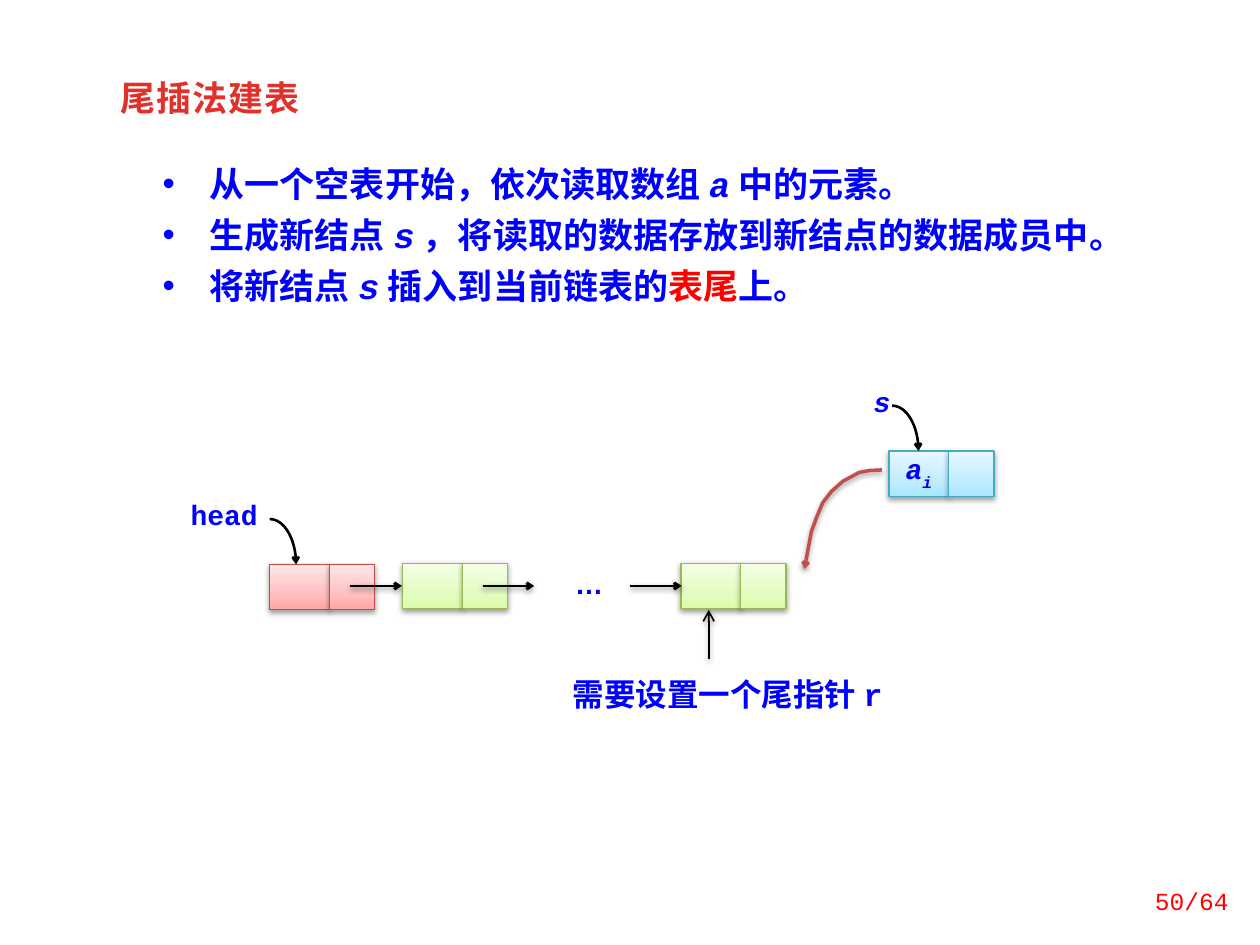
from dataclasses import dataclass, field
from typing import Any
import copy
import pptx
import pptx.util
import pptx.dml.color
import pptx.enum.shapes
import pptx.enum.text
import pptx.oxml
import pptx.oxml.ns

RGB = pptx.dml.color.RGBColor
WHITE = RGB(0xFF, 0xFF, 0xFF)
BLACK = RGB(0, 0, 0)
BLUE = RGB(0, 0, 0xFF)
RED = RGB(0xFF, 0, 0)
BRICK = RGB(0xE0, 0x32, 0x2D)
RUST = RGB(0xC0, 0x50, 0x4D)
PINK = (RGB(0xFF, 0xA6, 0xA5), RGB(0xFF, 0xC0, 0xBF), RGB(0xFF, 0xE7, 0xE7), RGB(0xBF, 0x4C, 0x48))
GREEN = (RGB(0xDA, 0xFD, 0xA7), RGB(0xE4, 0xFC, 0xC2), RGB(0xF5, 0xFF, 0xE7), RGB(0x98, 0xB9, 0x55))
SKY = (RGB(0xA7, 0xE6, 0xFF), RGB(0xC1, 0xED, 0xFF), RGB(0xE7, 0xF8, 0xFF), RGB(0x46, 0xAA, 0xC5))

COLS, ROWS = 100, 75
CELL = pptx.util.Inches(0.1)
HAN, MONO = "Noto Sans CJK SC", "Courier New"
ALIGN = pptx.enum.text.PP_ALIGN
SHAPE = pptx.enum.shapes.MSO_SHAPE
NS = 'xmlns:a="http://schemas.openxmlformats.org/drawingml/2006/main"'
SHADE = ('<a:outerShdw blurRad="40000" dist="20000" dir="5400000" rotWithShape="0">'
         '<a:srgbClr val="000000"><a:alpha val="38000"/></a:srgbClr></a:outerShdw>')


@dataclass
class Run:
    text: str
    tint: RGB = BLUE
    style: dict[str, Any] = field(default_factory=dict)
    extra: dict[str, str] = field(default_factory=dict)


@dataclass
class Label:
    area: tuple[float, float, float, float]
    lines: list[list[Run]]
    size: int = 16
    face: str = MONO
    bold: bool = True
    align: Any = ALIGN.CENTER
    inset: tuple[float, float, float, float] = (0, 0, 0, 0)
    fill: bool = True
    wrap: bool = True
    bullet: bool = False
    anchor: Any = pptx.enum.text.MSO_ANCHOR.TOP


@dataclass
class Node:
    left: float
    top: float
    tones: tuple[RGB, ...]
    runs: list[Run] = field(default_factory=list)


@dataclass
class Arrow:
    points: list[tuple[float, float]]
    tint: RGB = BLACK
    width: float = 1.5
    head: str = "sm"
    shade: bool = True


def cells(*nums: float) -> list[int]:
    return [round(num * CELL) for num in nums]


def apply(thing: Any, values: dict[str, Any]) -> None:
    for name, value in values.items():
        setattr(thing, name, value)


def xml(text: str) -> Any:
    return pptx.oxml.parse_xml(text)


def effect(shape: Any, shade: bool) -> None:
    props = shape._element.spPr
    for old in props.findall(pptx.oxml.ns.qn("a:effectLst")):
        props.remove(old)
    props.append(xml(f'<a:effectLst {NS}>{SHADE if shade else ""}</a:effectLst>'))


def write(para: Any, runs: list[Run], size: int, face: str, bold: bool) -> None:
    for item in runs:
        run = para.add_run()
        run.text = item.text
        apply(run.font, {"size": pptx.util.Pt(size), "name": face, "bold": bold, **item.style})
        run.font.color.rgb = item.tint
        props = run._r.get_or_add_rPr()
        props.append(xml(f'<a:ea {NS} typeface="{HAN}"/>'))
        for name, value in item.extra.items():
            props.set(name, value)


def draw_label(slide: Any, label: Label) -> None:
    box = slide.shapes.add_textbox(*cells(*label.area))
    if label.fill:
        box.fill.solid()
        box.fill.fore_color.rgb = WHITE
    frame = box.text_frame
    sides = ("margin_left", "margin_top", "margin_right", "margin_bottom")
    apply(frame, dict(zip(sides, cells(*label.inset))))
    apply(frame, {"word_wrap": label.wrap, "vertical_anchor": label.anchor})
    for i, runs in enumerate(label.lines):
        para = frame.add_paragraph() if i else frame.paragraphs[0]
        if label.bullet:
            props = para._p.get_or_add_pPr()
            dent = cells(3.75)[0]
            props.set("marL", str(dent))
            props.set("indent", str(-dent))
            props.append(xml(f'<a:buFont {NS} typeface="Arial"/>'))
            props.append(xml(f'<a:buChar {NS} char="•"/>'))
        para.alignment = label.align
        if i:
            para.space_before = pptx.util.Pt(5)
        write(para, runs, label.size, label.face, label.bold)


def draw_node(slide: Any, node: Node) -> None:
    parts = ((node.left, 4.75, node.runs), (node.left + 4.75, 3.6, []))
    for left, width, runs in parts:
        box = slide.shapes.add_shape(SHAPE.RECTANGLE, *cells(left, node.top, width, 3.6))
        fill = box.fill
        fill.gradient()
        fill.gradient_angle = 90
        first = box._element.spPr.xpath(".//a:gs")[0]
        first.addnext(copy.deepcopy(first))
        for stop, spot, tone in zip(fill.gradient_stops, (0, 0.35, 1), node.tones):
            stop.color.rgb = tone
            stop.position = spot
        box.line.color.rgb = node.tones[-1]
        box.line.width = pptx.util.Pt(0.75)
        effect(box, True)
        if runs:
            frame = box.text_frame
            apply(frame, {"margin_left": 0, "margin_top": 0, "margin_right": 0, "margin_bottom": 0,
                          "vertical_anchor": pptx.enum.text.MSO_ANCHOR.TOP})
            para = frame.paragraphs[0]
            apply(para, {"alignment": ALIGN.CENTER, "line_spacing": pptx.util.Pt(23)})
            write(para, runs, 16, MONO, True)


def draw_arrow(slide: Any, arrow: Arrow) -> None:
    spots = [tuple(cells(*point)) for point in arrow.points]
    if len(spots) == 2:
        kind = pptx.enum.shapes.MSO_CONNECTOR.STRAIGHT
        shape = slide.shapes.add_connector(kind, *spots[0], *spots[1])
    else:
        path = slide.shapes.build_freeform(*spots[0])
        path.add_line_segments(spots[1:], close=False)
        shape = path.convert_to_shape()
        shape.fill.background()
    shape.line.color.rgb = arrow.tint
    shape.line.width = pptx.util.Pt(arrow.width)
    line = shape.line._get_or_add_ln()
    line.append(xml(f'<a:tailEnd {NS} type="arrow" w="{arrow.head}" len="{arrow.head}"/>'))
    effect(shape, arrow.shade)


def bend(left: float, top: float) -> Arrow:
    wide, high, steps = 2.1, 3.6, 16
    points = []
    for i in range(steps + 1):
        t = i / steps
        u = 1 - t
        x = 3 * u * u * t * 0.56 + 3 * u * t * t + t ** 3
        y = 3 * u * t * t * 0.45 + t ** 3
        points.append((left + wide * x, top + high * y))
    return Arrow(points, shade=False)


def main() -> None:
    deck = pptx.Presentation()
    apply(deck, {"slide_width": COLS * CELL, "slide_height": ROWS * CELL})
    slide = deck.slides.add_slide(deck.slide_layouts[6])
    slant = {"italic": True}
    pad = (1, 0.5, 1, 0.5)
    steps = [
        [Run("从一个空表开始，依次读取数组"), Run("a", style=slant), Run("中的元素。")],
        [Run("生成新结点"), Run("s", style=slant), Run("，将读取的数据存放到新结点的数据成员中。")],
        [Run("将新结点"), Run("s", style=slant), Run("插入到当前链表的"), Run("表尾", RED), Run("上。")],
    ]
    title = [Run("尾插法建表", BRICK, extra={"spc": "50"})]
    labels = [
        Label((8.6, 5.6, 18.8, 4.4), [title], 20, HAN, align=ALIGN.LEFT, inset=pad, fill=False, wrap=False),
        Label((10.9, 11.7, 79.7, 15.8), steps, 20, align=ALIGN.LEFT, inset=(2, 1.2, 1, 1.2), bullet=True),
        Label((14.1, 39.5, 7.4, 2.9), [[Run("head")]]),
        Label((44.6, 45, 4.3, 2.9), [[Run("…")]], face="Arial"),
        Label((68.9, 30.5, 2.2, 2.9), [[Run("s", style=slant)]]),
        Label((43.7, 53.1, 28.1, 4), [[Run("需要设置一个尾指针r")]], 18, inset=pad, fill=False),
        Label((89.1, 69.5, 9.4, 4), [[Run("50/64", RED)]], 14, bold=False, align=ALIGN.RIGHT,
              inset=pad, fill=False, anchor=pptx.enum.text.MSO_ANCHOR.MIDDLE),
    ]
    item = [Run("a", style=slant), Run("i", style=slant, extra={"baseline": "-30000"})]
    nodes = [Node(21.4, 44.8, PINK), Node(31.95, 44.7, GREEN), Node(54.05, 44.7, GREEN),
             Node(70.55, 35.8, SKY, item)]
    swoop = [(70, 37.3), (69, 37.35), (68.2, 37.5), (66.9, 38.2), (66, 39), (65.3, 39.9),
             (64.8, 41.1), (64.4, 42.2), (63.85, 45.15)]
    arrows = [Arrow([(left, 46.5), (left + 4.1, 46.5)]) for left in (27.8, 38.3, 50)]
    arrows += [bend(21.4, 41.2), bend(70.8, 32.2), Arrow(swoop, RUST, 2),
               Arrow([(56.25, 52.3), (56.25, 48.4)], width=1, head="med")]
    for draw, things in ((draw_label, labels), (draw_node, nodes), (draw_arrow, arrows)):
        for thing in things:
            draw(slide, thing)
    deck.save("out.pptx")


if __name__ == "__main__":
    main()
